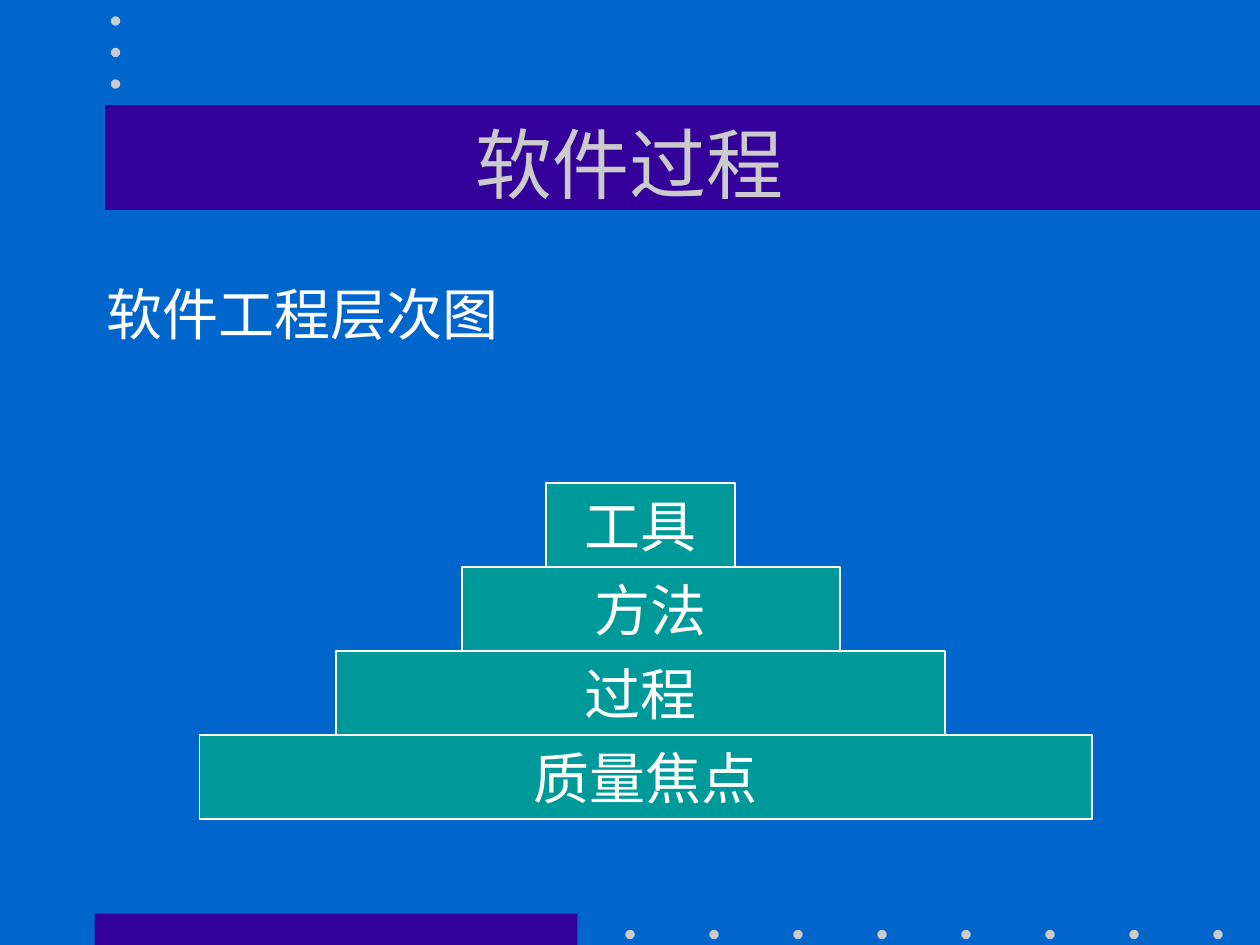
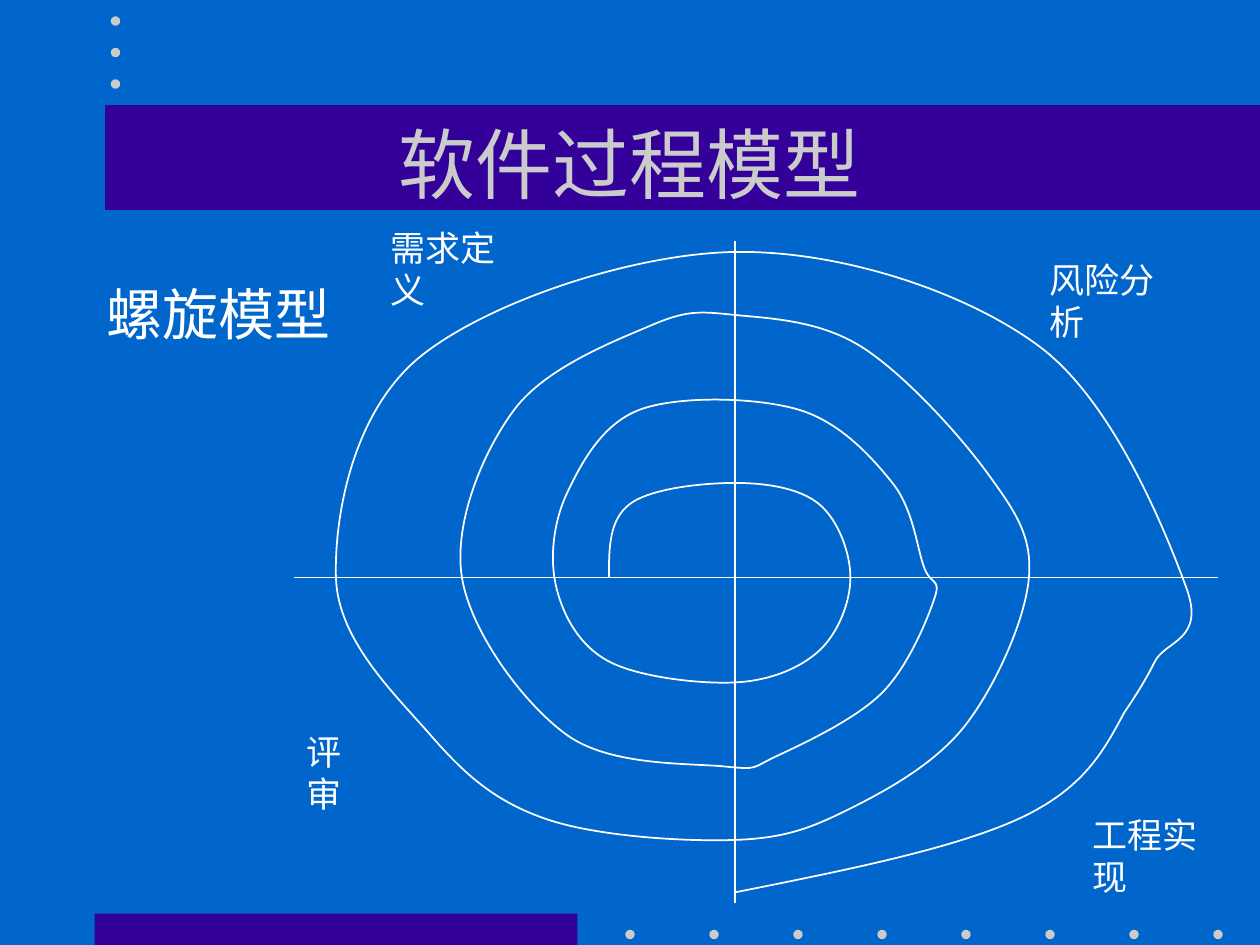
from lxml import etree
from pptx import Presentation
from pptx.dml.color import RGBColor
from pptx.enum.shapes import MSO_CONNECTOR, MSO_SHAPE
from pptx.enum.text import MSO_ANCHOR, MSO_AUTO_SIZE, PP_ALIGN
from pptx.oxml.ns import qn
from pptx.util import Cm, Pt

RECT, DOT = MSO_SHAPE.RECTANGLE, MSO_SHAPE.OVAL
LINE = MSO_CONNECTOR.STRAIGHT
LEFT, MID = PP_ALIGN.LEFT, PP_ALIGN.CENTER
TOP, CORE = MSO_ANCHOR.TOP, MSO_ANCHOR.MIDDLE
FIXED, GROW = MSO_AUTO_SIZE.NONE, MSO_AUTO_SIZE.SHAPE_TO_FIT_TEXT

FONT = "Times New Roman"
BLUE, NAVY, TEAL = "0066CC", "330099", "009999"
GREY, WHITE = "CBCBCB", "FFFFFF"
BAR = 8      # height of one layer
SIZE = 0.9   # width of one dot

# Layers from the base up: text, left, width
LAYERS = [("质量焦点", 19, 85), ("过程", 32, 58),
          ("方法", 44, 36), ("工具", 52, 18)]
LABELS = [("需求定义", 36, 21, 15.7), ("评审", 28, 69, 9),
          ("风险分析", 98.75, 24, 15.7), ("工程实现", 102.85, 76.9, 15.7)]
# Knots of the spiral, one turn a row, and of its tail
SPIRAL = [
    (58, 55), (60, 48), (70, 46), (78, 48), (81, 55), (78, 62), (70, 65), (58, 63),
    (53, 56), (54, 47), (61, 39), (76, 39), (85, 46), (88, 54), (89, 57), (84, 66),
    (74, 72), (69, 73), (54, 70),
    (44, 55), (49, 39), (62, 31), (70, 30), (82, 33), (94, 45), (98, 55), (92, 69),
    (81, 77), (70, 80), (52, 78), (41, 70),
    (32, 55), (40, 34), (70, 24), (99, 33), (113, 56), (110, 63), (107, 68)]
TAIL = [(107, 68), (97, 78), (70, 85)]


def grid(*nums):
    """Lengths on a grid of twelve units to 2.54 cm."""
    return [Cm(2.54 * num / 12) for num in nums]


def tint(code):
    return RGBColor.from_string(code)


def assign(item, **vals):
    for key, val in vals.items():
        setattr(item, key, val)


def place(shape, *box):
    assign(shape, **dict(zip(("left", "top", "width", "height"), grid(*box))))


def write(shape, text, size, color=WHITE, align=MID, anchor=CORE, wrap=False,
          fit=FIXED):
    frame = shape.text_frame
    frame.text = text
    assign(frame, auto_size=fit, word_wrap=wrap, vertical_anchor=anchor)
    para = frame.paragraphs[0]
    para.alignment = align
    assign(para.font, name=FONT, size=Pt(size))
    para.font.color.rgb = tint(color)


def stroke(item):
    item.line.color.rgb = tint(WHITE)
    item.line.width = Pt(1)


def add_form(slide, kind, color, *box):
    shape = slide.shapes.add_shape(kind, *grid(*box))
    shape.shadow.inherit = False
    shape.fill.solid()
    shape.fill.fore_color.rgb = tint(color)
    shape.line.fill.background()
    return shape


def add_dot(slide, x, y):
    return add_form(slide, DOT, GREY, x - SIZE / 2, y - SIZE / 2, SIZE, SIZE)


def add_text(slide, text, size, box, **vals):
    write(slide.shapes.add_textbox(*grid(*box)), text, size,
          align=LEFT, anchor=TOP, **vals)


def add_layer(slide, text, *box):
    shape = add_form(slide, RECT, TEAL, *box)
    stroke(shape)
    write(shape, text, 32)


def add_axis(slide, *ends):
    line = slide.shapes.add_connector(LINE, *grid(*ends))
    stroke(line)
    etree.SubElement(line._element.spPr, qn("a:effectLst"))


def halfway(one, two):
    return tuple((a + b) / 2 for a, b in zip(one, two))


def bend(knots):
    """Bezier points after the first knot; inner slopes follow the neighbours."""
    pulls = {}
    for i in range(1, len(knots) - 1):
        prev, knot, nxt = knots[i - 1:i + 2]
        for sign in (-1, 1):
            pulls[i, sign] = tuple(k + sign * (n - p) / 6
                                   for p, k, n in zip(prev, knot, nxt))
    last = len(knots) - 1
    pulls[0, 1] = halfway(knots[0], pulls[1, -1])
    pulls[last, -1] = halfway(knots[last], pulls[last - 1, 1])
    return [point for i in range(last)
            for point in (pulls[i, 1], pulls[i + 1, -1], knots[i + 1])]


def add_curve(slide, knots):
    pen = slide.shapes.build_freeform(*grid(*knots[0]))
    pen.add_line_segments([grid(*point) for point in bend(knots)], close=False)
    shape = pen.convert_to_shape()
    shape.shadow.inherit = False
    shape.fill.background()
    stroke(shape)
    # Join each three straight steps into one Bezier step
    track = next(shape._element.iter(qn("a:path")))
    steps = track.findall(qn("a:lnTo"))
    for i in range(0, len(steps), 3):
        curve = etree.SubElement(track, qn("a:cubicBezTo"))
        for step in steps[i:i + 3]:
            curve.append(step[0])
            track.remove(step)


def dress(layout, slide):
    """Draw the shared bands and dots, then move them to the layout."""
    layout.background.fill.solid()
    layout.background.fill.fore_color.rgb = tint(BLUE)
    parts = [add_form(slide, RECT, NAVY, 9, 87, 46, 3),
             add_form(slide, RECT, NAVY, 10, 10, 110, 10)]
    parts += [add_dot(slide, 60 + 8 * i, 89) for i in range(8)]
    parts += [add_dot(slide, 11, 2 + 3 * i) for i in range(3)]
    for i, part in enumerate(parts):
        layout.shapes._spTree.insert(2 + i, part._element)


def add_slide(deck, layout, title, topic):
    slide = deck.slides.add_slide(layout)
    head = slide.shapes.title
    place(head, 9, 8, 102, 15)
    write(head, title, 44, GREY, wrap=True)
    add_text(slide, topic, 32, (9, 26, 102, 54), wrap=True)
    return slide


def main():
    deck = Presentation()
    assign(deck, slide_width=Cm(25.4), slide_height=Cm(19.05))
    layout = deck.slide_layouts[5]

    # Layers of software engineering
    slide = add_slide(deck, layout, "软件过程", "软件工程层次图")
    dress(layout, slide)
    for i, (text, left, width) in enumerate(LAYERS):
        add_layer(slide, text, left, 70 - BAR * i, width, BAR)

    # Spiral model
    slide = add_slide(deck, layout, "软件过程模型", "螺旋模型")
    add_axis(slide, 28, 55, 116, 55)
    add_axis(slide, 70, 23, 70, 86)
    for knots in (SPIRAL, TAIL):
        add_curve(slide, knots)
    for text, left, top, width in LABELS:
        add_text(slide, text, 20, (left, top, width, 5.25), fit=GROW)

    deck.save("out.pptx")


if __name__ == "__main__":
    main()
